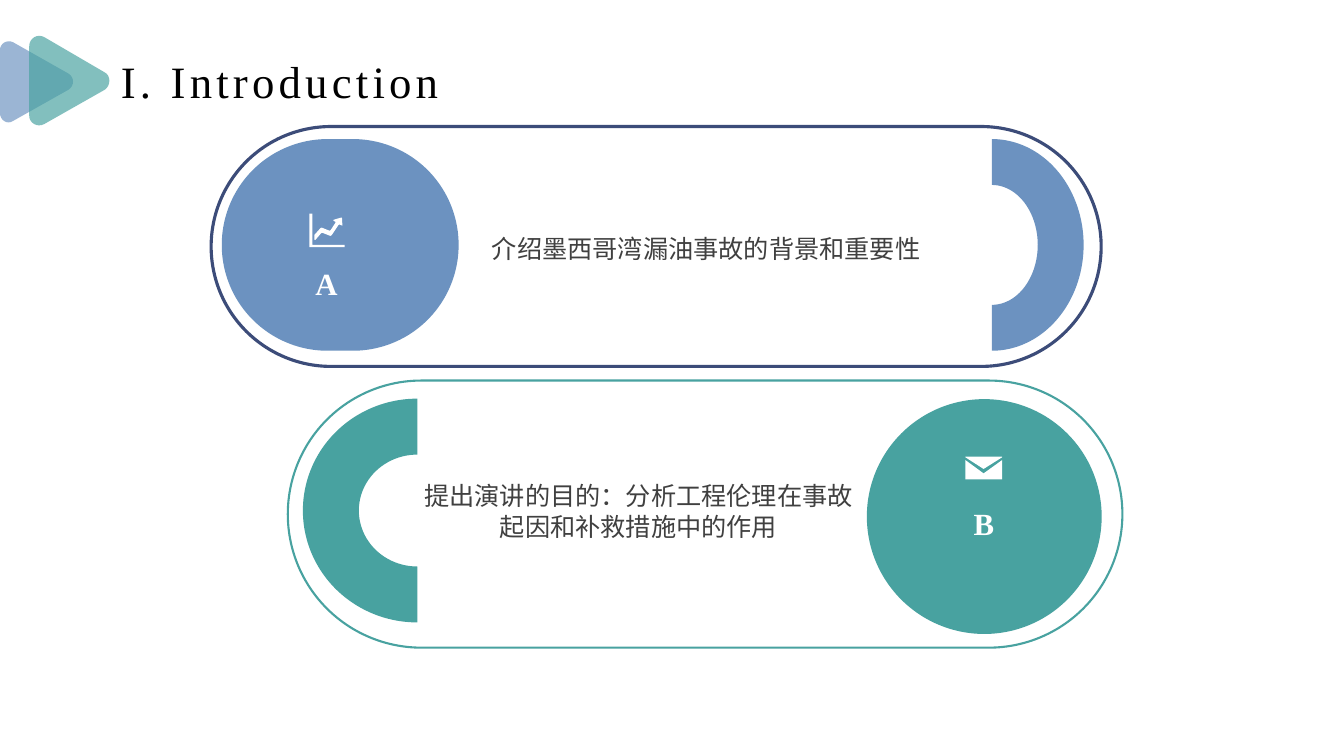
import pptx
import pptx.util
import pptx.dml.color
import pptx.enum.shapes
import pptx.enum.text
from lxml import etree

Pt = pptx.util.Pt
KIND = pptx.enum.shapes.MSO_SHAPE
ALIGN = pptx.enum.text.PP_ALIGN
NAVY, BLUE, TEAL = "3C4C79", "6C92C0", "48A2A0"
WHITE, GRAY, BLACK = "FFFFFF", "404040", "000000"
FONT = "Times New Roman"

# Content: boxes are left, top, width, height in points
TITLE = ("I. Introduction", (79.2, 34.56, 270, 46))
CARDS = [
    dict(
        pill=(150.84, 90.36, 635.76, 171.36), edge=NAVY, line=2.25, fill=BLUE,
        blob=(158.4, 99.36, 169.2, 151.2),
        arc=(632.88, 109.44, 151.2, 131.04), turn=90,
        text="介绍墨西哥湾漏油事故的背景和重要性", body=(327.6, 166.32, 353.5, 21),
        mark="A", label=(185, 189.36, 96.5, 26.64),
        icon=[  # axes, then rising arrow
            [(221, 152.6), (223.2, 152.6), (223.2, 175), (246.2, 175),
             (246.2, 176.6), (221, 176.6)],
            [(243.4, 155.5), (244.3, 155.5), (244.6, 161.2), (242.6, 160.4),
             (241.9, 160.6), (236.9, 168), (236, 168.5), (230.4, 166.3),
             (229.5, 166.5), (225.3, 171.4), (224.6, 171.2), (224.6, 167.8),
             (229, 162.9), (229.9, 162.6), (235.4, 164.8), (236.2, 164.4),
             (239.7, 159), (239.6, 158.4), (238.2, 157.6), (238.3, 157)],
        ],
    ),
    dict(
        pill=(205.56, 271.8, 596.16, 190.8), edge=TEAL, line=1.5, fill=TEAL,
        blob=(619.2, 285.12, 167.76, 167.76),
        arc=(218.16, 282.96, 159.84, 163.44), turn=270,
        text="提出演讲的目的：分析工程伦理在事故起因和补救措施中的作用",
        body=(303.12, 342.72, 306, 44.64),
        mark="B", label=(654.48, 360.72, 96.5, 26.64),
        icon=[  # envelope body, then flap
            [(689.5, 328.6), (702.6, 338.2), (715.9, 328.6), (715.9, 342.5),
             (689.5, 342.5)],
            [(689.5, 326.2), (715.9, 326.2), (715.9, 326.6), (702.6, 335),
             (689.5, 326.6)],
        ],
    ),
]
# Rounded triangles: one Bezier curve per corner
ARROWS = [
    (BLUE, [
        [(9.4, 30.2), (5, 28.1), (0, 31), (0, 36)],
        [(0, 80.6), (0, 85.7), (5, 89.3), (9.4, 86.4)],
        [(49, 64.1), (53.3, 61.2), (53.3, 55.4), (49, 52.6)]]),
    (TEAL, [
        [(31.7, 26.6), (26.6, 23.8), (20.9, 27.4), (20.9, 33.1)],
        [(20.9, 82.8), (20.9, 87.8), (26.6, 91.4), (31.7, 88.6)],
        [(74.9, 64.1), (79.2, 61.2), (79.2, 54), (74.9, 51.8)]]),
]
STEPS = 8

deck = pptx.Presentation()
deck.slide_width, deck.slide_height = Pt(960), Pt(540)
slide = deck.slides.add_slide(deck.slide_layouts[6])
shapes = slide.shapes


def color(code):
    return pptx.dml.color.RGBColor.from_string(code)


def paint(shape, fill=None, edge=None, width=0):
    shape.shadow.inherit = False
    if fill:
        shape.fill.solid()
        shape.fill.fore_color.rgb = color(fill)
    else:
        shape.fill.background()
    if edge:
        shape.line.color.rgb = color(edge)
        shape.line.width = Pt(width)
    else:
        shape.line.fill.background()
    return shape


def add(kind, box):
    return shapes.add_shape(kind, *map(Pt, box))


def round_box(box, **style):
    shape = paint(add(KIND.ROUNDED_RECTANGLE, box), **style)
    shape.adjustments[0] = 0.5


def outline(points, fill):
    spots = [(Pt(x), Pt(y)) for x, y in points]
    form = shapes.build_freeform(*spots[0], scale=1.0)
    form.add_line_segments(spots[1:], close=True)
    return paint(form.convert_to_shape(), fill)


def curve(ends):
    for step in range(STEPS + 1):
        t = step / STEPS
        mix = ((1 - t) ** 3, 3 * t * (1 - t) ** 2, 3 * t * t * (1 - t), t ** 3)
        yield tuple(sum(m * p[axis] for m, p in zip(mix, ends))
                    for axis in (0, 1))


def write(text, box, size, code, bold=False, inset=0, align=ALIGN.CENTER):
    frame = shapes.add_textbox(*map(Pt, box)).text_frame
    frame.word_wrap = True
    frame.margin_left = frame.margin_right = Pt(inset)
    frame.margin_top = frame.margin_bottom = Pt(inset / 2)
    frame.text = text
    para = frame.paragraphs[0]
    para.alignment = align
    font = para.runs[0].font
    font.name, font.size, font.bold = FONT, Pt(size), bold
    font.color.rgb = color(code)
    return para


# Corner arrows
for code, corners in ARROWS:
    shape = outline([p for ends in corners for p in curve(ends)], code)
    tint = shape.fill._xPr.find(".//" + pptx.oxml.ns.qn("a:srgbClr"))
    etree.SubElement(tint, pptx.oxml.ns.qn("a:alpha"), val="68000")

# Cards
for card in CARDS:
    round_box(card["pill"], edge=card["edge"], width=card["line"])
    round_box(card["blob"], fill=card["fill"])
    arc = paint(add(KIND.BLOCK_ARC, card["arc"]), card["fill"])
    arc.rotation = card["turn"]
    for part in card["icon"]:
        outline(part, WHITE)
    write(card["text"], card["body"], 18, GRAY).line_spacing = Pt(22)
    write(card["mark"], card["label"], 22, WHITE, bold=True)

# Title
head = write(*TITLE, 32, BLACK, inset=7.2, align=ALIGN.LEFT)
head.runs[0].font._element.set("spc", "300")

deck.save("out.pptx")
